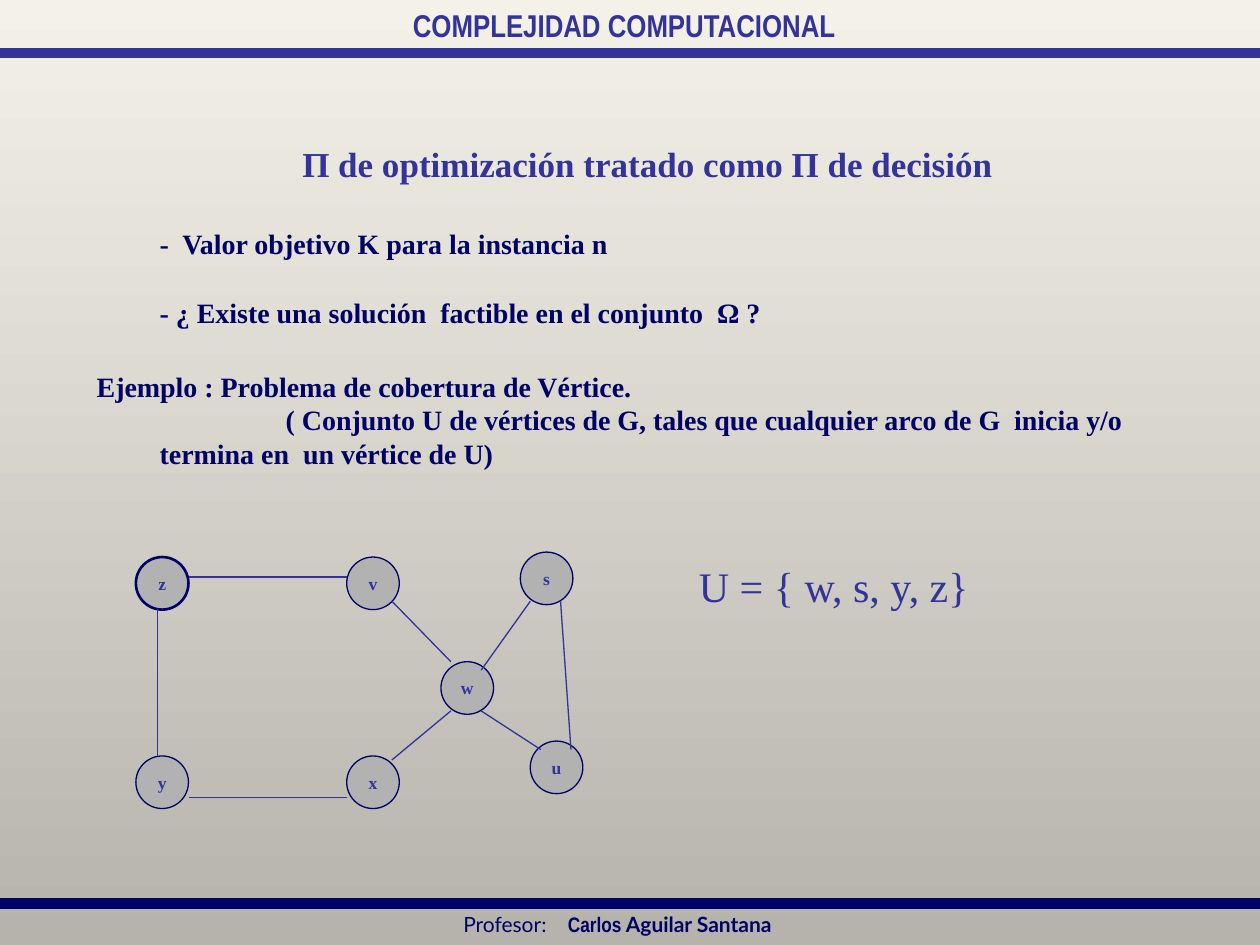
from dataclasses import dataclass

from lxml import etree
from pptx import Presentation
from pptx.dml.color import RGBColor
from pptx.enum.shapes import MSO_CONNECTOR, MSO_SHAPE
from pptx.enum.text import MSO_ANCHOR, PP_ALIGN
from pptx.oxml.ns import qn
from pptx.util import Cm, Pt

BLUE = RGBColor(0x33, 0x33, 0x99)
NAVY = RGBColor(0x00, 0x00, 0x66)
GRAY = RGBColor(0xB2, 0xB2, 0xB2)
BACKGROUND = (RGBColor(0xF4, 0xF2, 0xE8), RGBColor(0xB5, 0xB3, 0xAC))

STRAIGHT = MSO_CONNECTOR.STRAIGHT
ELLIPSE = MSO_SHAPE.OVAL
LEFT, CENTER = PP_ALIGN.LEFT, PP_ALIGN.CENTER
MIDDLE = MSO_ANCHOR.MIDDLE

SERIF, NARROW, SANS = "Times New Roman", "Arial Narrow", "Lato"
SLIDE_WIDTH, SLIDE_HEIGHT = 25.4, 19.05
DIAMETER = 1.06
STEP = 1.27


@dataclass(frozen=True)
class Run:
    text: str
    size: float
    color: RGBColor
    font: str = SERIF
    bold: bool = True


@dataclass(frozen=True)
class Paragraph:
    """Runs of one paragraph; margin and indent in cm, space before in points."""
    runs: tuple[Run, ...]
    align: PP_ALIGN = LEFT
    margin: float = 0
    indent: float = 0
    before: float = 0
    tab: float = 0


@dataclass(frozen=True)
class Vertex:
    label: str
    left: float
    top: float
    outline: float = 0.75


@dataclass(frozen=True)
class Edge:
    x1: float
    y1: float
    x2: float
    y2: float


VERTICES = (
    Vertex("z", 2.74, 11.23, 1.5),
    Vertex("v", 6.99, 11.23),
    Vertex("x", 6.99, 15.24),
    Vertex("y", 2.74, 15.24),
    Vertex("w", 8.89, 13.34),
    Vertex("u", 10.69, 14.94),
    Vertex("s", 10.49, 11.13),
)

EDGES = (
    Edge(3.18, 12.27, 3.18, 15.24),    # z-y
    Edge(3.81, 11.63, 6.99, 11.63),    # z-v
    Edge(3.81, 16.08, 6.99, 16.08),    # y-x
    Edge(7.9, 12.12, 9.09, 13.34),     # v-w
    Edge(7.9, 15.32, 9.09, 14.33),     # x-w
    Edge(9.7, 13.51, 10.69, 12.12),    # w-s
    Edge(9.7, 14.33, 10.9, 15.11),     # w-u
    Edge(11.3, 12.12, 11.51, 15.11),   # s-u
)


def body(text: str) -> tuple[Run, ...]:
    return (Run(text, 16, NAVY),)


def write(paragraph, content: Paragraph) -> None:
    paragraph.alignment = content.align
    properties = paragraph._p.get_or_add_pPr()
    if content.margin or content.indent:
        properties.set("marL", str(Cm(content.margin)))
        properties.set("indent", str(Cm(content.indent)))
    if content.before:
        paragraph.space_before = Pt(content.before)
    if content.tab:
        stops = etree.SubElement(properties, qn("a:tabLst"))
        etree.SubElement(stops, qn("a:tab"), pos=str(Cm(content.tab)), algn="l")
    for item in content.runs:
        run = paragraph.add_run()
        run.text = item.text
        run.font.name = item.font
        run.font.size = Pt(item.size)
        run.font.bold = item.bold
        run.font.color.rgb = item.color


def add_text(slide, left: float, top: float, width: float, height: float,
             *contents: Paragraph) -> None:
    frame = slide.shapes.add_textbox(Cm(left), Cm(top), Cm(width), Cm(height)).text_frame
    frame.word_wrap = contents[0].align != CENTER
    for index, content in enumerate(contents):
        write(frame.add_paragraph() if index else frame.paragraphs[0], content)


def add_line(slide, edge: Edge, color: RGBColor, weight: float) -> None:
    line = slide.shapes.add_connector(
        STRAIGHT, Cm(edge.x1), Cm(edge.y1), Cm(edge.x2), Cm(edge.y2))
    line.line.color.rgb = color
    line.line.width = Pt(weight)
    etree.SubElement(line._element.spPr, qn("a:effectLst"))


def add_vertex(slide, vertex: Vertex) -> None:
    circle = slide.shapes.add_shape(
        ELLIPSE, Cm(vertex.left), Cm(vertex.top), Cm(DIAMETER), Cm(DIAMETER))
    circle.shadow.inherit = False
    circle.fill.solid()
    circle.fill.fore_color.rgb = GRAY
    circle.line.color.rgb = NAVY
    circle.line.width = Pt(vertex.outline)
    frame = circle.text_frame
    frame.margin_left = frame.margin_right = frame.margin_top = frame.margin_bottom = 0
    frame.vertical_anchor = MIDDLE
    write(frame.paragraphs[0], Paragraph((Run(vertex.label, 10, BLUE),), CENTER))


def paint_background(slide) -> None:
    fill = slide.background.fill
    fill.gradient()
    fill.gradient_angle = 270
    for stop, color in zip(fill.gradient_stops, BACKGROUND):
        stop.color.rgb = color


def main() -> None:
    deck = Presentation()
    deck.slide_width, deck.slide_height = Cm(SLIDE_WIDTH), Cm(SLIDE_HEIGHT)
    slide = deck.slides.add_slide(deck.slide_layouts[6])
    paint_background(slide)

    add_text(slide, 8.05, 0, 9.07, 1.02, Paragraph(
        (Run("COMPLEJIDAD COMPUTACIONAL", 18, BLUE, NARROW),), CENTER))
    for y, color in ((1.07, BLUE), (18.21, NAVY)):
        add_line(slide, Edge(0, y, SLIDE_WIDTH, y), color, 6)
    add_text(slide, 9.09, 18.26, 7.34, 0.76, Paragraph((
        Run("Profesor:\t", 12, NAVY, SANS, False),
        Run("Carlos", 12, NAVY, NARROW),
        Run(" Aguilar Santana", 12, NAVY, SANS),
    ), tab=2.11))

    add_text(slide, 5.84, 2.74, 14.43, 1.12, Paragraph(
        (Run("Π de optimización tratado como Π de decisión", 20, BLUE),), CENTER))
    add_text(slide, 1.7, 4.45, 21.87, 2.97,
             Paragraph(body("-  Valor objetivo K para la instancia n"), margin=STEP),
             Paragraph(body("- ¿ Existe una solución  factible en el conjunto  Ω ?"),
                       margin=STEP, before=20))
    add_text(slide, 1.7, 7.32, 21.87, 2.29,
             Paragraph(body("Ejemplo : Problema de cobertura de Vértice.")),
             Paragraph(body("( Conjunto U de vértices de G, tales que cualquier arco de G"
                            "  inicia y/o termina en  un vértice de U)"),
                       margin=STEP, indent=2 * STEP))

    for vertex in VERTICES:
        add_vertex(slide, vertex)
    for edge in EDGES:
        add_line(slide, edge, BLUE, 0.75)
    add_text(slide, 13.84, 11.18, 6.05, 1.27, Paragraph(
        (Run("U = { w, s, y, z}", 24, BLUE, bold=False),)))

    deck.save("out.pptx")


if __name__ == "__main__":
    main()
